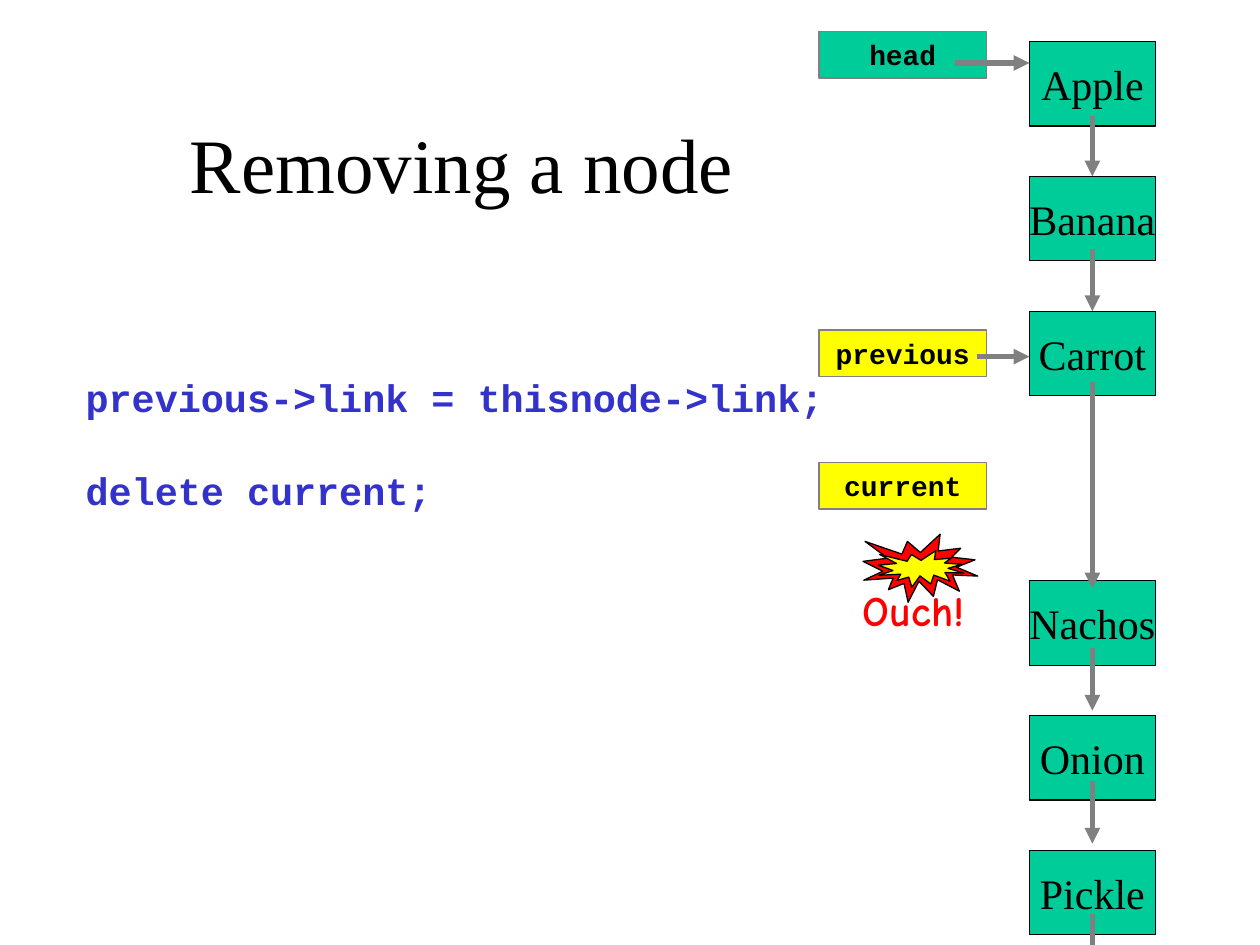
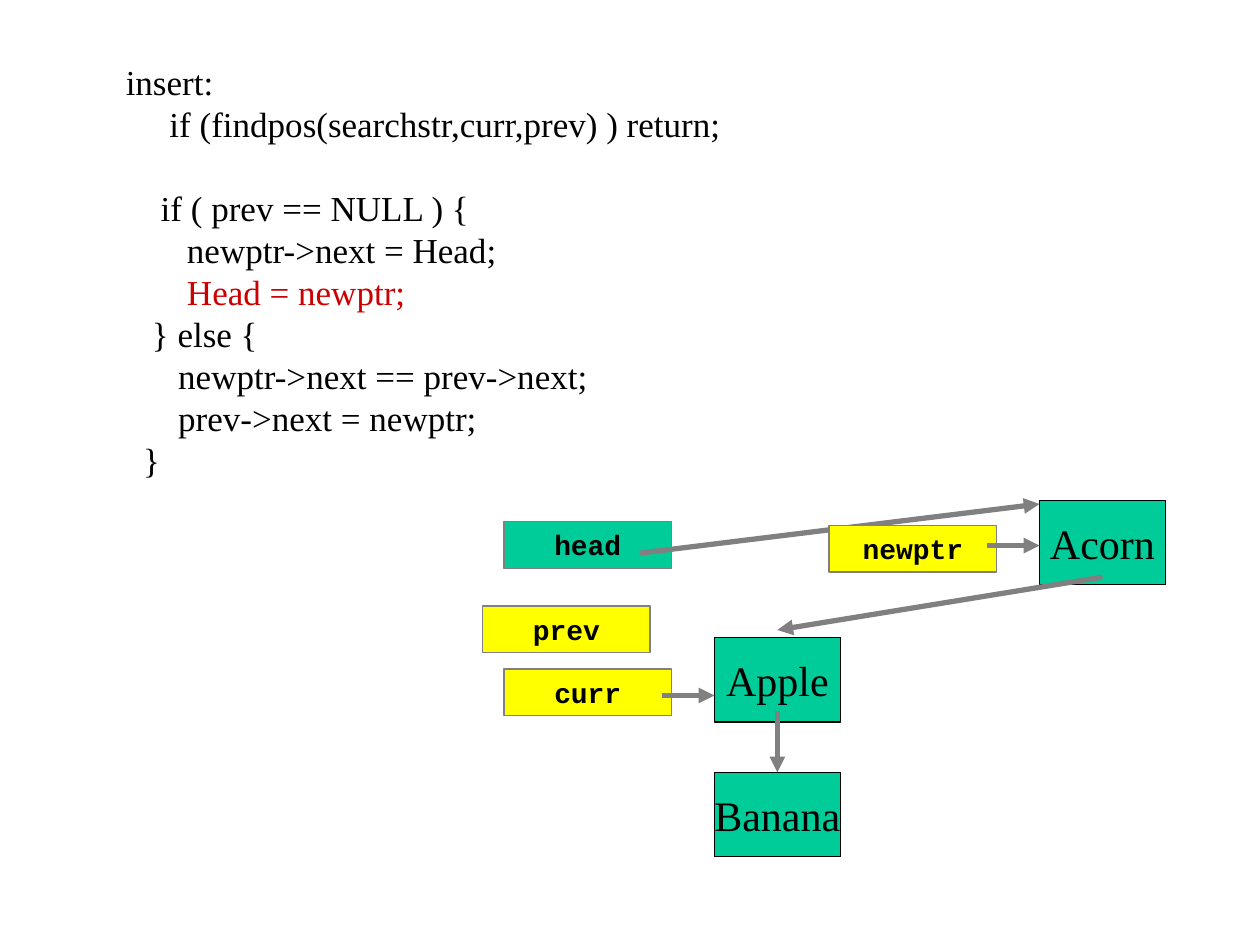
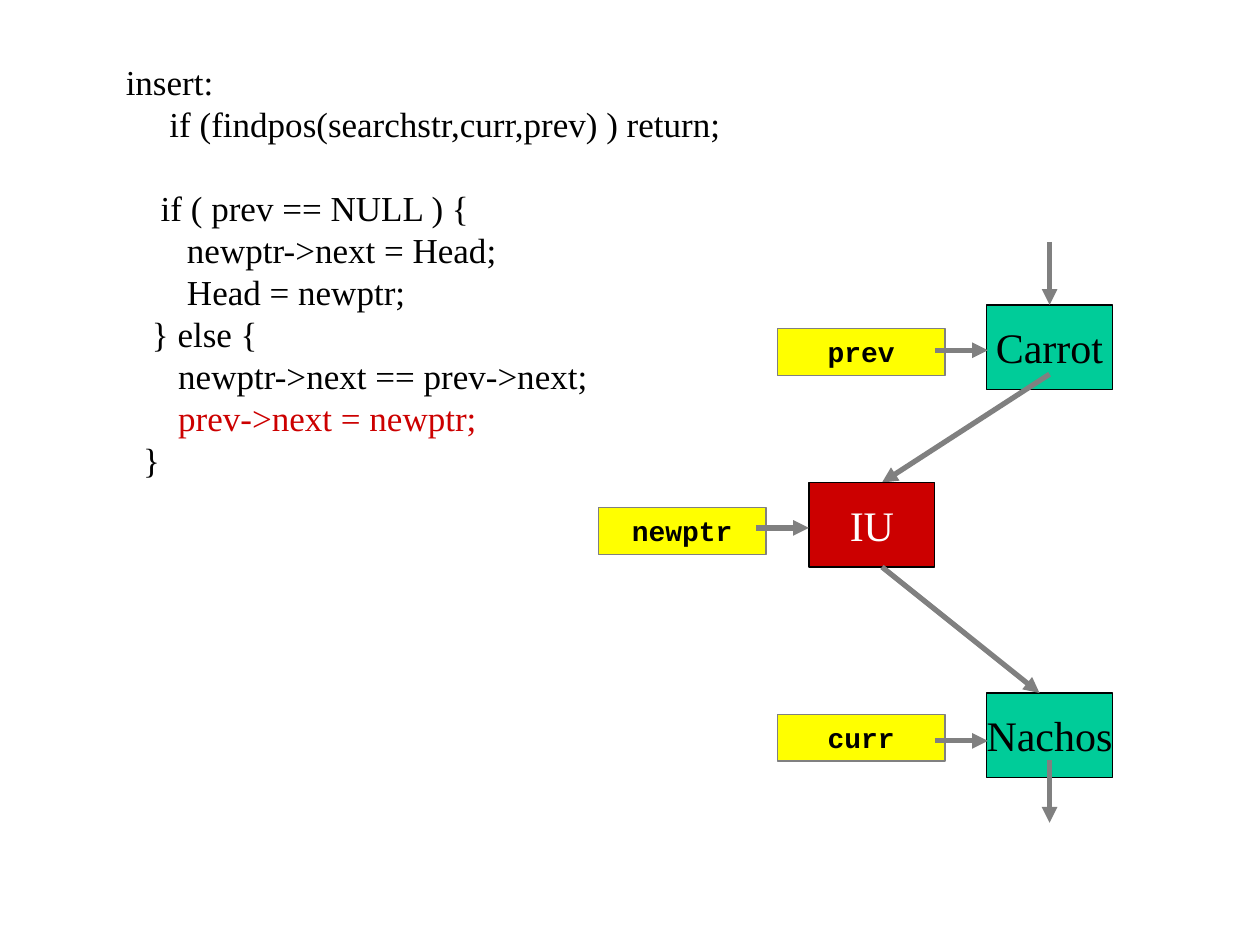
from dataclasses import dataclass

from pptx import Presentation
from pptx.dml.color import RGBColor
from pptx.enum.shapes import MSO_CONNECTOR, MSO_SHAPE
from pptx.enum.text import MSO_ANCHOR, MSO_AUTO_SIZE, PP_ALIGN
from pptx.oxml.ns import qn
from pptx.util import Inches, Pt
from lxml.etree import SubElement


@dataclass(frozen=True)
class Theme:
    green: str = "00CC99"
    yellow: str = "FFFF00"
    crimson: str = "CC0000"
    red: str = "FF0000"
    blue: str = "3333CC"
    gray: str = "808080"
    black: str = "000000"
    white: str = "FFFFFF"
    serif: str = "Times New Roman"
    mono: str = "Courier New"
    comic: str = "Comic Neue"
    title_pt: float = 44
    node_pt: float = 24
    statement_pt: float = 22
    code_pt: float = 20
    pointer_pt: float = 16
    arrow_pt: float = 3
    outline_pt: float = 0.75


T = Theme()

# ---- Shared sizes, in inches ----
NODE_W, NODE_H = 1, 0.67
POINTER_W, POINTER_H = 1.33, 0.37
LINK = 0.5           # length of an arrow between neighbouring nodes
STUB = 0.42          # length of an arrow from a pointer to its node

# ---- Slide 1: the list with a gap where a node was removed ----
REMOVAL_TITLE = "Removing a node"
STATEMENTS = ["previous->link = thisnode->link;", "delete current;"]
FOODS = {0: "Apple", 1: "Banana", 2: "Carrot", 4: "Nachos", 5: "Onion", 6: "Pickle"}
FOOD_LEFT, FOOD_TOP, FOOD_PITCH = 8.17, 0.33, 1.07
LINK_X, LINK_TOP, LINK_PITCH = 8.67, 0.92, 1.055
BYPASS_ROW, BYPASS = 2, 1.64
LINK_TARGETS = {0: "Banana", 1: "Carrot"}
REMOVAL_POINTERS = [("head", 0.25, T.green), ("previous", 2.62, T.yellow),
                    ("current", 3.67, T.yellow)]
BURSTS = [((6.85, 4.24, 0.91, 0.54), T.red), ((6.97, 4.37, 0.68, 0.29), T.yellow)]
CRY = "Ouch!"

# ---- Slides 2 and 3: the insert routine; a blank entry is an empty line ----
INSERT_CODE = [
    "insert:",
    "     if (findpos(searchstr,curr,prev) ) return;",
    "",
    "    if ( prev == NULL ) {",
    "       newptr->next = Head;",
    "       Head = newptr;",
    "   } else {",
    "      newptr->next == prev->next;",
    "      prev->next = newptr;",
    "  }",
]

# Diagram parts from back to front:
#   node: name, left, top, fill, text colour
#   pointer: name, left, top, fill
#   arrow: start, end, node whose top it joins
AT_HEAD = [
    ("node", "Banana", 5.67, 6.13, T.green, T.black),
    ("node", "Apple", 5.67, 5.06, T.green, T.black),
    ("pointer", "head", 4, 4.14, T.green),
    ("arrow", (5.08, 4.39), (8.25, 4), None),
    ("arrow", (6.17, 5.64), (6.17, 5.64 + LINK), "Banana"),
    ("pointer", "prev", 3.83, 4.81, T.yellow),
    ("pointer", "curr", 4, 5.31, T.yellow),
    ("arrow", (5.25, 5.52), (5.25 + STUB, 5.52), None),
    ("node", "Acorn", 8.25, 3.97, T.green, T.black),
    ("pointer", "newptr", 6.58, 4.17, T.yellow),
    ("arrow", (7.83, 4.33), (7.83 + STUB, 4.33), None),
    ("arrow", (8.75, 4.58), (6.17, 5), None),
]
IN_MIDDLE = [
    ("node", "Nachos", 7.83, 5.5, T.green, T.black),
    ("node", "Carrot", 7.83, 2.42, T.green, T.black),
    ("pointer", "prev", 6.17, 2.61, T.yellow),
    ("arrow", (8.33, 6.03), (8.33, 6.03 + LINK), None),
    ("arrow", (8.33, 1.92), (8.33, 1.92 + LINK), "Carrot"),
    ("arrow", (8.33, 2.97), (7, 3.83), None),
    ("pointer", "curr", 6.17, 5.67, T.yellow),
    ("arrow", (7.42, 5.88), (7.42 + STUB, 5.88), None),
    ("arrow", (7.42, 2.78), (7.42 + STUB, 2.78), None),
    ("node", "IU", 6.42, 3.83, T.crimson, T.white),
    ("pointer", "newptr", 4.75, 4.03, T.yellow),
    ("arrow", (6, 4.19), (6 + STUB, 4.19), None),
    ("arrow", (7, 4.5), (8.25, 5.5), None),
]
INSERTIONS = [("       Head = newptr;", AT_HEAD), ("      prev->next = newptr;", IN_MIDDLE)]


# ---- Drawing helpers ----
def rgb(code):
    return RGBColor.from_string(code)


def inches(*lengths):
    return [Inches(length) for length in lengths]


def add_run(paragraph, words, font, size, color, bold=False):
    run = paragraph.add_run()
    run.text = words
    run.font.name, run.font.size, run.font.bold = font, Pt(size), bold
    run.font.color.rgb = rgb(color)


def add_box(slide, preset, box, fill, outline):
    shape = slide.shapes.add_shape(preset, *inches(*box))
    shape.shadow.inherit = False
    shape.fill.solid()
    shape.fill.fore_color.rgb = rgb(fill)
    shape.line.color.rgb = rgb(outline)
    shape.line.width = Pt(T.outline_pt)
    return shape


def add_node(slide, name, left, top, fill=T.green, color=T.black):
    node = add_box(slide, MSO_SHAPE.RECTANGLE, (left, top, NODE_W, NODE_H), fill, T.black)
    frame = node.text_frame
    frame.word_wrap = False
    frame.vertical_anchor = MSO_ANCHOR.MIDDLE
    frame.paragraphs[0].alignment = PP_ALIGN.CENTER
    add_run(frame.paragraphs[0], name, T.serif, T.node_pt, color)
    return node


def add_pointer(slide, name, left, top, fill):
    pointer = add_box(slide, MSO_SHAPE.RECTANGLE, (left, top, POINTER_W, POINTER_H),
                      fill, T.gray)
    frame = pointer.text_frame
    frame.word_wrap = True
    frame.vertical_anchor = MSO_ANCHOR.TOP
    frame.paragraphs[0].alignment = PP_ALIGN.CENTER
    add_run(frame.paragraphs[0], name, T.mono, T.pointer_pt, T.black, bold=True)


def add_arrow(slide, start, end, target=None):
    arrow = slide.shapes.add_connector(MSO_CONNECTOR.STRAIGHT, *inches(*start, *end))
    arrow.line.color.rgb = rgb(T.gray)
    arrow.line.width = Pt(T.arrow_pt)
    SubElement(arrow.line._get_or_add_ln(), qn("a:tailEnd"), type="triangle")
    SubElement(arrow._element.spPr, qn("a:effectLst"))
    if target is not None:
        arrow.end_connect(target, 0)


def move(shape, *box):
    shape.left, shape.top, shape.width, shape.height = inches(*box)


def fill_lines(frame, lines, font, size, pitch, color_of, bold=False):
    """Write one paragraph a line; an empty line becomes space before the next."""
    gap, paragraph = 0, None
    for line in lines:
        if not line:
            gap += pitch
            continue
        paragraph = frame.add_paragraph() if paragraph is not None else frame.paragraphs[0]
        paragraph.line_spacing = Pt(pitch)
        paragraph.space_before = Pt(gap)
        add_run(paragraph, line, font, size, color_of(line), bold)
        gap = 0


# ---- Slides ----
def build_removal(prs):
    slide = prs.slides.add_slide(prs.slide_layouts[1])
    title, body = slide.shapes.title, slide.placeholders[1]
    move(title, 0.75, 0.67, 5.83, 1.25)
    title.text_frame.vertical_anchor = MSO_ANCHOR.MIDDLE
    add_run(title.text_frame.paragraphs[0], REMOVAL_TITLE, T.serif, T.title_pt, T.black)

    # Statements, one empty line apart
    move(body, 0.58, 2.92, 6.25, 3.92)
    body.text_frame.auto_size = MSO_AUTO_SIZE.NONE
    first, second = STATEMENTS
    fill_lines(body.text_frame, [first, "", second], T.mono, T.statement_pt, 26.4,
               lambda line: T.blue, bold=True)
    for paragraph in body.text_frame.paragraphs:
        props = paragraph._p.get_or_add_pPr()
        props.set("marL", "0")
        props.set("indent", "0")
        SubElement(props, qn("a:buNone"))

    # Column of nodes, then pointers, then links
    nodes = {name: add_node(slide, name, FOOD_LEFT, FOOD_TOP + row * FOOD_PITCH)
             for row, name in FOODS.items()}
    for name, top, fill in REMOVAL_POINTERS:
        add_pointer(slide, name, 6.5, top, fill)
    for start_x, y in ((7.58, 0.5), (7.75, 2.83)):
        add_arrow(slide, (start_x, y), (FOOD_LEFT, y))
    for row in FOODS:
        top = LINK_TOP + row * LINK_PITCH
        length = BYPASS if row == BYPASS_ROW else LINK
        add_arrow(slide, (LINK_X, top), (LINK_X, top + length),
                  nodes.get(LINK_TARGETS.get(row)))

    # Burst over the deleted node's pointer
    for box, fill in BURSTS:
        add_box(slide, MSO_SHAPE.EXPLOSION1, box, fill, T.black)
    cry = slide.shapes.add_textbox(*inches(6.46, 4.59, 1.58, 0.5)).text_frame
    cry.word_wrap = True
    cry.paragraphs[0].alignment = PP_ALIGN.CENTER
    add_run(cry.paragraphs[0], CRY, T.comic, T.node_pt, T.red, bold=True)


def build_insertion(prs, current_line, diagram):
    slide = prs.slides.add_slide(prs.slide_layouts[6])
    code = slide.shapes.add_textbox(*inches(0.9, 0.43, 4.93, 3.44)).text_frame
    code.word_wrap = False
    fill_lines(code, INSERT_CODE, T.serif, T.code_pt, 24,
               lambda line: T.crimson if line == current_line else T.black)

    nodes = {}
    for kind, *part in diagram:
        if kind == "node":
            nodes[part[0]] = add_node(slide, *part)
        elif kind == "pointer":
            add_pointer(slide, *part)
        else:
            start, end, target = part
            add_arrow(slide, start, end, nodes.get(target))


def main():
    prs = Presentation()
    prs.slide_width, prs.slide_height = inches(10, 7.5)
    build_removal(prs)
    for current_line, diagram in INSERTIONS:
        build_insertion(prs, current_line, diagram)
    prs.save("out.pptx")


if __name__ == "__main__":
    main()
